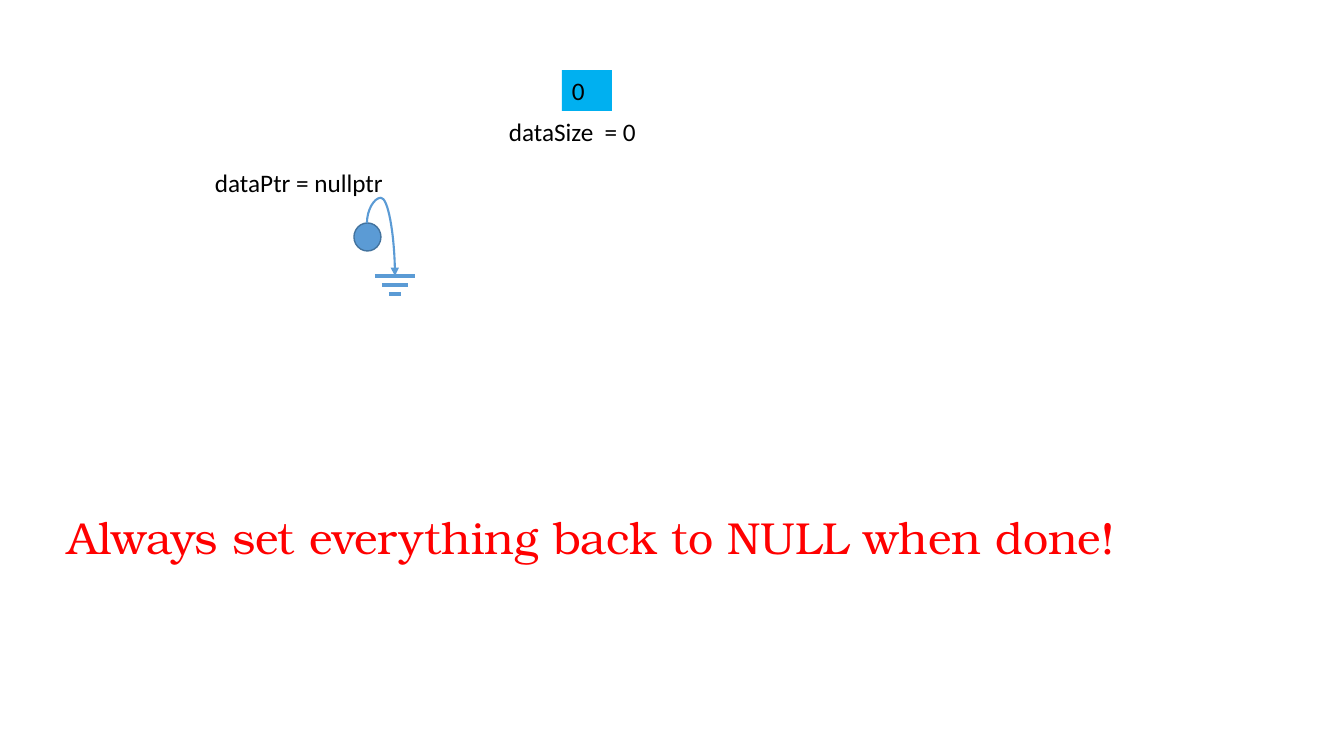
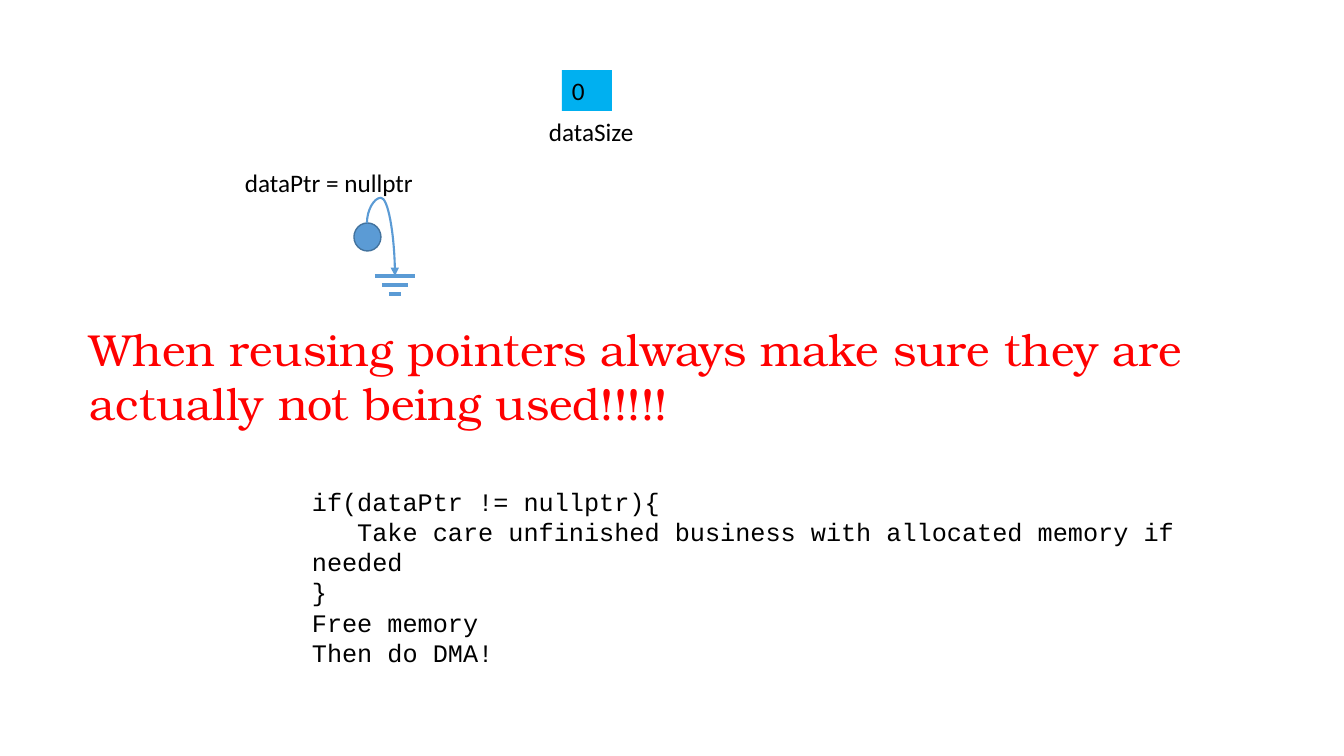
from lxml import etree
from pptx import Presentation
from pptx.dml.color import RGBColor
from pptx.enum.shapes import MSO_CONNECTOR, MSO_SHAPE
from pptx.enum.text import MSO_ANCHOR, MSO_AUTO_SIZE, PP_ALIGN
from pptx.oxml.ns import qn
from pptx.util import Emu, Pt

STRAIGHT, CURVE = MSO_CONNECTOR.STRAIGHT, MSO_CONNECTOR.CURVE
OVAL, RECTANGLE = MSO_SHAPE.OVAL, MSO_SHAPE.RECTANGLE
TOP, LEFT, GROW = MSO_ANCHOR.TOP, PP_ALIGN.LEFT, MSO_AUTO_SIZE.SHAPE_TO_FIT_TEXT

PX_PER_INCH = 100.8
BLANK_LAYOUT = 6
COLORS = {
    "page": "FFFFFF",
    "text": "000000",
    "warning": "FF0000",
    "value": "00B0F0",
    "pointer": "5B9BD5",
    "pointer_edge": "43739E",
}
LABEL = {"name": "Calibri", "size": Pt(18), "color": "text"}
WARNING = {"name": "TeX Gyre Bonum", "size": Pt(32), "color": "warning"}
CODE = {"name": "Courier New", "size": Pt(18), "color": "text"}


def px(length):
    return Emu(round(length * 914400 / PX_PER_INCH))


def rgb(name):
    return RGBColor.from_string(COLORS[name])


def write(shape, text, style):
    """Fill a shape with text; a line feed starts a paragraph, \\v breaks a line."""
    frame = shape.text_frame
    frame.text = text
    settings = {"word_wrap": True, "auto_size": GROW, "vertical_anchor": TOP}
    for key, value in settings.items():
        setattr(frame, key, value)
    for para in frame.paragraphs:
        para.alignment = LEFT
        for key in ("name", "size"):
            setattr(para.font, key, style[key])
        para.font.color.rgb = rgb(style["color"])


def add_text(page, box, text, style):
    write(page.shapes.add_textbox(*map(px, box)), text, style)


def add_solid(page, kind, box, fill):
    shape = page.shapes.add_shape(kind, *map(px, box))
    shape.shadow.inherit = False
    shape.fill.solid()
    shape.fill.fore_color.rgb = rgb(fill)
    return shape


def add_line(page, kind, start, end, width):
    line = page.shapes.add_connector(kind, *map(px, start + end))
    line.line.color.rgb = rgb("pointer")
    line.line.width = Pt(width)
    etree.SubElement(line._element.spPr, qn("a:effectLst"))
    return line


def add_curved_arrow(page, start, end):
    """Arrow that leaves upward, loops over and comes down on its end."""
    across, down = end[0] - start[0], end[1] - start[1]
    center_x, center_y = (start[0] + end[0]) / 2, (start[1] + end[1]) / 2
    left, top = center_x - down / 2, center_y - across / 2
    # Drawn right to left, then turned a three-quarter turn
    arrow = add_line(page, CURVE, (left + down, top), (left, top + across), 1.5)
    properties = arrow._element.spPr
    properties.find(qn("a:xfrm")).set("rot", str(270 * 60000))
    guides = properties.find(qn("a:prstGeom")).get_or_add_avLst()
    etree.SubElement(guides, qn("a:gd"), name="adj1", fmla="val -47600")
    head = etree.SubElement(arrow.line._get_or_add_ln(), qn("a:tailEnd"))
    head.set("type", "triangle")


def add_null_pointer(page, left, top):
    """Pointer dot with an arrow down to the ground symbol."""
    dot = add_solid(page, OVAL, (left, top, 27, 28), "pointer")
    dot.line.color.rgb = rgb("pointer_edge")
    dot.line.width = Pt(1)
    ground_x, ground_y = left + 41, top + 53
    add_curved_arrow(page, (left + 13, top), (ground_x, ground_y))
    for row, half in enumerate((20, 13, 6)):
        y = ground_y + 9 * row
        add_line(page, STRAIGHT, (ground_x - half, y), (ground_x + half, y), 2.25)


def add_size_value(page, left, top):
    value = add_solid(page, RECTANGLE, (left, top, 50, 41), "value")
    value.line.fill.background()
    write(value, "0", LABEL)


def add_memory_page(deck, texts):
    """Page with the emptied variables and its own labels and messages."""
    page = deck.slides.add_slide(deck.slide_layouts[BLANK_LAYOUT])
    page.background.fill.solid()
    page.background.fill.fore_color.rgb = rgb("page")
    add_size_value(page, 562, 70)
    add_null_pointer(page, 354, 223)
    for box, text, style in texts:
        add_text(page, box, text, style)


PAGES = [
    [
        ((499, 111, 157, 41), "dataSize  = 0", LABEL),
        ((205, 162, 278, 41), "dataPtr = nullptr", LABEL),
        ((58, 505, 1136, 65), "Always set everything back to NULL when done!", WARNING),
    ],
    [
        ((539, 111, 117, 41), "dataSize", LABEL),
        ((235, 162, 249, 41), "dataPtr = nullptr", LABEL),
        ((80, 317, 1136, 119),
         "When reusing pointers always make sure they are\vactually not being used!!!!!",
         WARNING),
        ((302, 481, 926, 163),
         "if(dataPtr != nullptr){\v"
         "   Take care unfinished business with allocated memory if needed\n"
         "}\nFree memory\nThen do DMA!",
         CODE),
    ],
]


def main():
    deck = Presentation()
    deck.slide_width, deck.slide_height = px(1344), px(756)
    for texts in PAGES:
        add_memory_page(deck, texts)
    deck.save("out.pptx")


if __name__ == "__main__":
    main()
